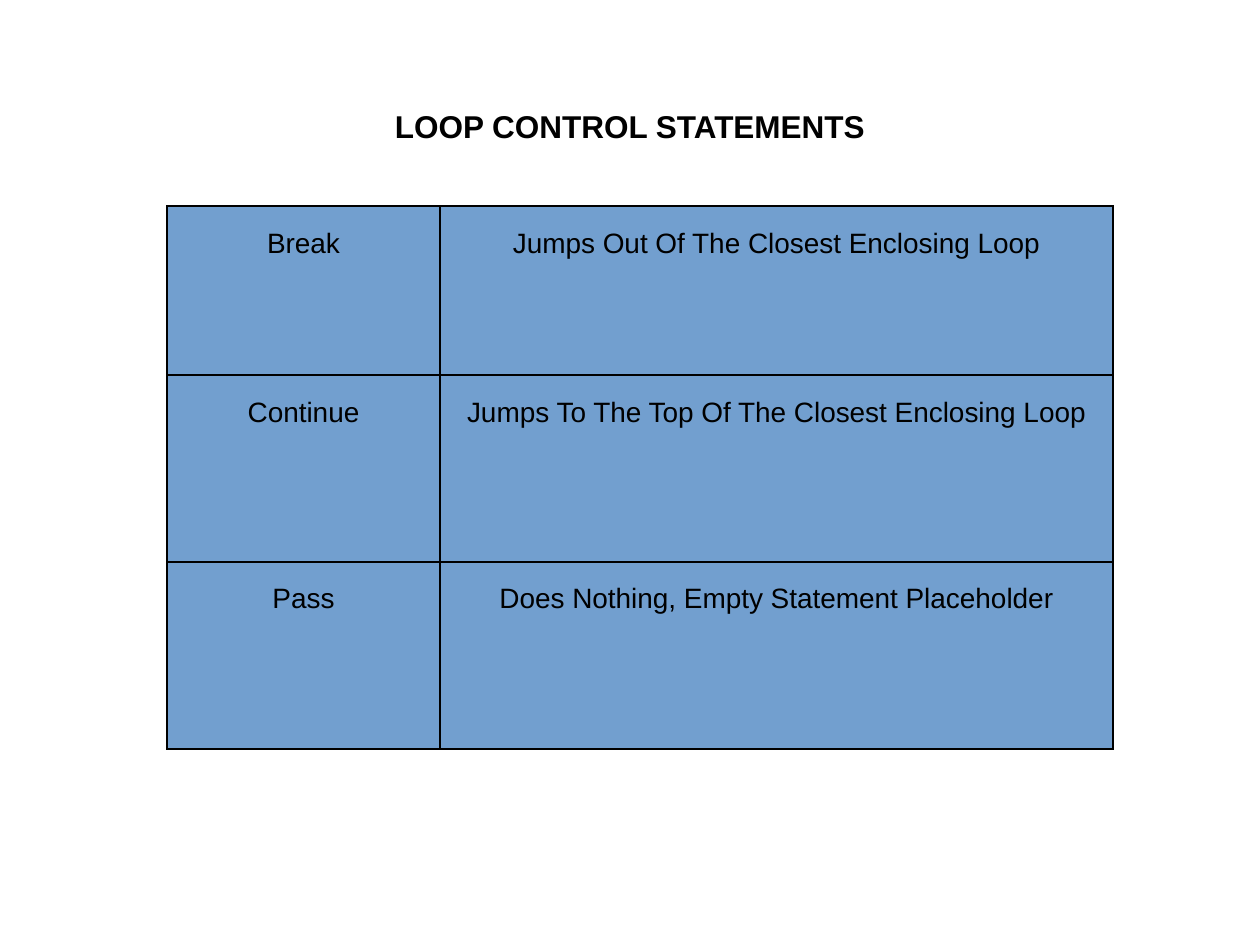
from dataclasses import dataclass

from lxml import etree
from pptx import Presentation, util as u
from pptx.dml.color import RGBColor
from pptx.enum import text
from pptx.oxml import ns

PX = u.Inches(1) / 126
FONT = "Arial"
COLORS = {"text": "000000", "cell": "729FCF", "border": "000000"}
COLUMN_WIDTHS = (273, 673)


@dataclass
class Statement:
    keyword: str
    effect: str
    height: int


STATEMENTS = [
    Statement("Break", "Jumps Out Of The Closest Enclosing Loop", 169),
    Statement("Continue", "Jumps To The Top Of The Closest Enclosing Loop", 187),
    Statement("Pass", "Does Nothing, Empty Statement Placeholder", 187),
]


def px(length: int) -> int:
    return round(length * PX)


def write(tf, words: str, size: int, bold: bool = False) -> None:
    p = tf.paragraphs[0]
    p.alignment = text.PP_ALIGN.CENTER
    p.line_spacing = 1.5
    r = p.add_run()
    r.text = words
    r.font.name = FONT
    r.font.size = u.Pt(size)
    r.font.bold = bold
    r.font.color.rgb = RGBColor.from_string(COLORS["text"])


def draw_borders(cell) -> None:
    props = cell._tc.get_or_add_tcPr()
    for i, side in enumerate(("lnL", "lnR", "lnT", "lnB")):
        line = etree.Element(ns.qn(f"a:{side}"), w=str(u.Pt(0.96)))
        fill = etree.SubElement(line, ns.qn("a:solidFill"))
        etree.SubElement(fill, ns.qn("a:srgbClr"), val=COLORS["border"])
        props.insert(i, line)


def draw_title(s, words: str) -> None:
    left, top, right, bottom = 63, 38, 1197, 195
    outline = s.shapes.build_freeform(left, top, scale=PX)
    outline.add_line_segments([(right, top), (right, bottom), (left, bottom)])
    sp = outline.convert_to_shape()
    sp.shadow.inherit = False
    sp.fill.background()
    sp.line.fill.background()
    tf = sp.text_frame
    tf.word_wrap = True
    tf.vertical_anchor = text.MSO_ANCHOR.MIDDLE
    write(tf, words, 18, bold=True)


def draw_table(s, statements: list[Statement]) -> None:
    width, height = sum(COLUMN_WIDTHS), sum(st.height for st in statements)
    table = s.shapes.add_table(len(statements), len(COLUMN_WIDTHS),
                               px(167), px(206), px(width), px(height)).table
    table.first_row = table.horz_banding = False
    for column, column_width in zip(table.columns, COLUMN_WIDTHS):
        column.width = px(column_width)
    for row, st in zip(table.rows, statements):
        row.height = px(st.height)
        for cell, words in zip(row.cells, (st.keyword, st.effect)):
            cell.fill.solid()
            cell.fill.fore_color.rgb = RGBColor.from_string(COLORS["cell"])
            draw_borders(cell)
            write(cell.text_frame, words, 16)


def main() -> None:
    prs = Presentation()
    prs.slide_width, prs.slide_height = px(1260), px(945)
    s = prs.slides.add_slide(prs.slide_layouts[6])

    # Heading
    draw_title(s, "LOOP CONTROL STATEMENTS")

    # Keywords and their effects
    draw_table(s, STATEMENTS)

    prs.save("out.pptx")


if __name__ == "__main__":
    main()
